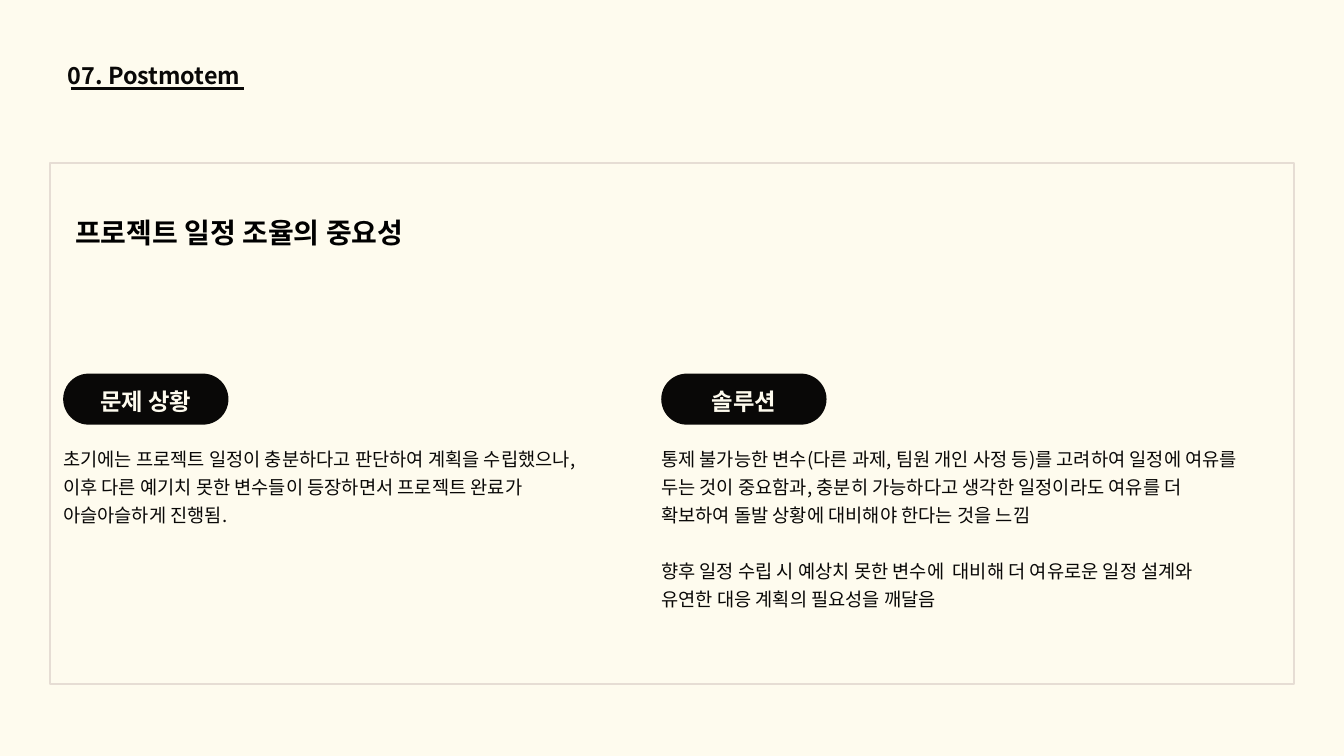
"""Build the postmortem slide: a framed heading above a problem and a solution column."""
import pptx
import pptx.dml.color
import pptx.enum.shapes
import pptx.enum.text
import pptx.oxml
import pptx.oxml.ns
import pptx.util
from pptx.util import Inches

INK, CREAM, BORDER, BLACK = "090807", "FEFBEE", "E6DDD4", "000000"
KOREAN, HEADING = "Noto Sans CJK KR", "Noto Sans CJK SC"
ALIGN = pptx.enum.text.PP_ALIGN
ANCHOR = pptx.enum.text.MSO_ANCHOR


def rgb(value):
    return pptx.dml.color.RGBColor.from_string(value)


def write(frame, paragraphs, size, leading, typeface, color, bold=False, align=ALIGN.LEFT, anchor=ANCHOR.TOP):
    frame_format = {
        "margin_left": 0, "margin_right": 0, "margin_top": 0, "margin_bottom": 0,
        "word_wrap": True, "auto_size": pptx.enum.text.MSO_AUTO_SIZE.NONE, "vertical_anchor": anchor,
    }
    for name, value in frame_format.items():
        setattr(frame, name, value)
    for index, (text, gap) in enumerate(paragraphs):
        para = frame.paragraphs[0] if index == 0 else frame.add_paragraph()
        para_format = {
            "alignment": align, "line_spacing": pptx.util.Pt(leading), "space_before": pptx.util.Pt(gap),
        }
        for name, value in para_format.items():
            setattr(para, name, value)
        span = para.add_run()
        span.text = text
        for name, value in {"size": pptx.util.Pt(size), "bold": bold, "name": typeface}.items():
            setattr(span.font, name, value)
        span.font.color.rgb = rgb(color)
        east_asian = pptx.oxml.ns.qn("a:ea")
        span.font._element.append(span.font._element.makeelement(east_asian, {"typeface": typeface}))


deck = pptx.Presentation()
deck.slide_width, deck.slide_height = Inches(20), Inches(11.25)
page = deck.slides.add_slide(deck.slide_layouts[5])
page.background.fill.solid()
page.background.fill.fore_color.rgb = rgb(CREAM)

underline = page.shapes.add_connector(
    pptx.enum.shapes.MSO_CONNECTOR.STRAIGHT, Inches(1.05), Inches(1.32), Inches(3.63), Inches(1.32))
underline.line.color.rgb = rgb(INK)
underline.line.width = pptx.util.Pt(3)
properties = underline._element.spPr
properties.append(properties.makeelement(pptx.oxml.ns.qn("a:effectLst"), {}))

panel = page.shapes.add_shape(
    pptx.enum.shapes.MSO_SHAPE.RECTANGLE, Inches(0.75), Inches(2.43), Inches(18.5), Inches(7.75))
panel.shadow.inherit = False
panel.fill.background()
panel.line.color.rgb = rgb(BORDER)
panel.line.width = pptx.util.Pt(2.25)

title = page.shapes.title
title_place = {"left": 1.01, "top": 0.84, "width": 2.62, "height": 0.46}
for name, value in title_place.items():
    setattr(title, name, Inches(value))
write(title.text_frame, [("07. Postmotem", 0)], 25, 35, HEADING, INK, bold=True)

lesson = page.shapes.add_textbox(Inches(1.12), Inches(3.13), Inches(6.58), Inches(0.56))
write(lesson.text_frame, [("프로젝트 일정 조율의 중요성", 0)], 30, 42, KOREAN, BLACK, bold=True)

columns = [
    (0.94, 8.17, 1.23, "문제 상황", [
        ("초기에는 프로젝트 일정이 충분하다고 판단하여 계획을 수립했으나, 이후 다른 예기치 못한 변수들이 "
         "등장하면서 프로젝트 완료가 아슬아슬하게 진행됨.", 0),
    ]),
    (9.84, 8.61, 2.48, "솔루션", [
        ("통제 불가능한 변수(다른 과제, 팀원 개인 사정 등)를 고려하여 일정에 여유를 두는 것이 중요함과, "
         "충분히 가능하다고 생각한 일정이라도 여유를 더 확보하여 돌발 상황에 대비해야 한다는 것을 느낌", 0),
        ("향후 일정 수립 시 예상치 못한 변수에  대비해 더 여유로운 일정 설계와", 30),
        ("유연한 대응 계획의 필요성을 깨달음", 0),
    ]),
]
for left, width, height, label, paragraphs in columns:
    pill = page.shapes.add_shape(
        pptx.enum.shapes.MSO_SHAPE.ROUNDED_RECTANGLE, Inches(left), Inches(5.56), Inches(2.46), Inches(0.76))
    pill.adjustments[0] = 0.5
    pill.shadow.inherit = False
    pill.fill.solid()
    pill.fill.fore_color.rgb = rgb(INK)
    pill.line.fill.background()
    write(pill.text_frame, [(label, 0)], 25, 35, HEADING, CREAM, True, ALIGN.CENTER, ANCHOR.MIDDLE)
    box = page.shapes.add_textbox(Inches(left), Inches(6.58), Inches(width), Inches(height))
    write(box.text_frame, paragraphs, 20, 30, KOREAN, INK)

deck.save("out.pptx")
